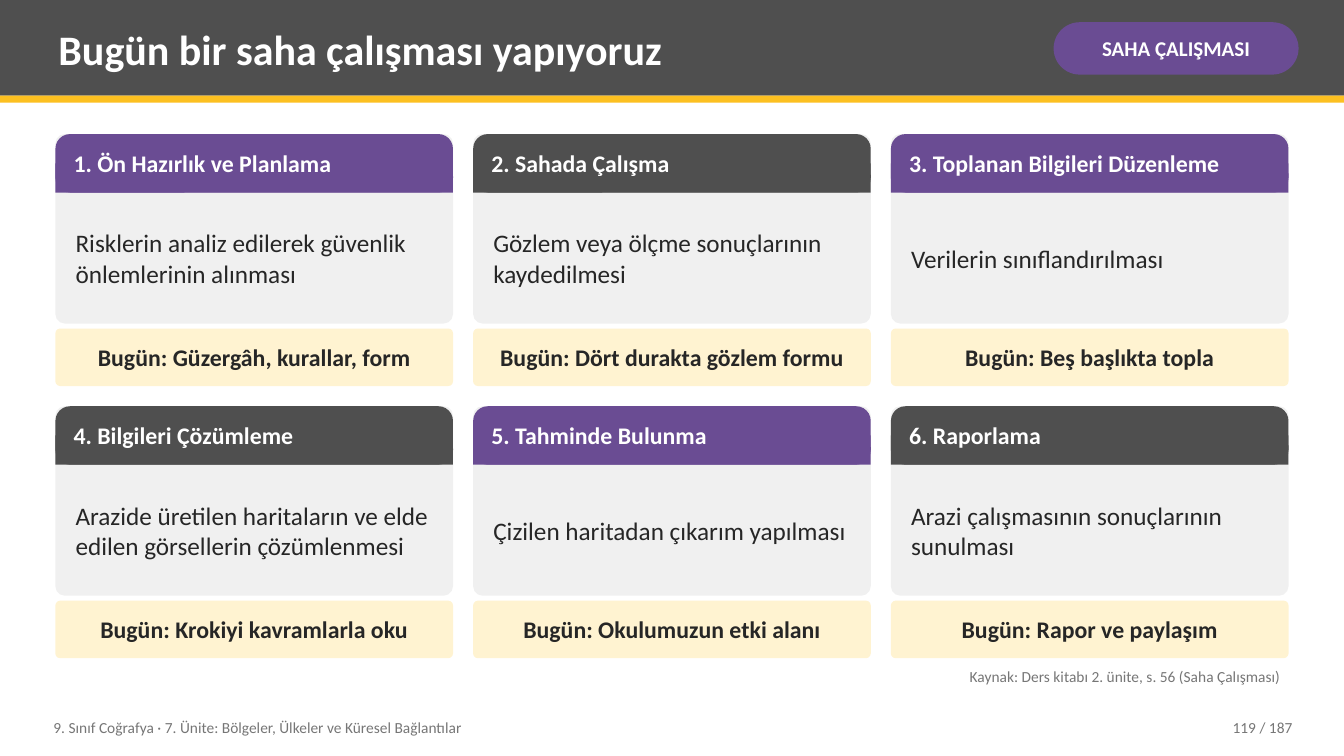
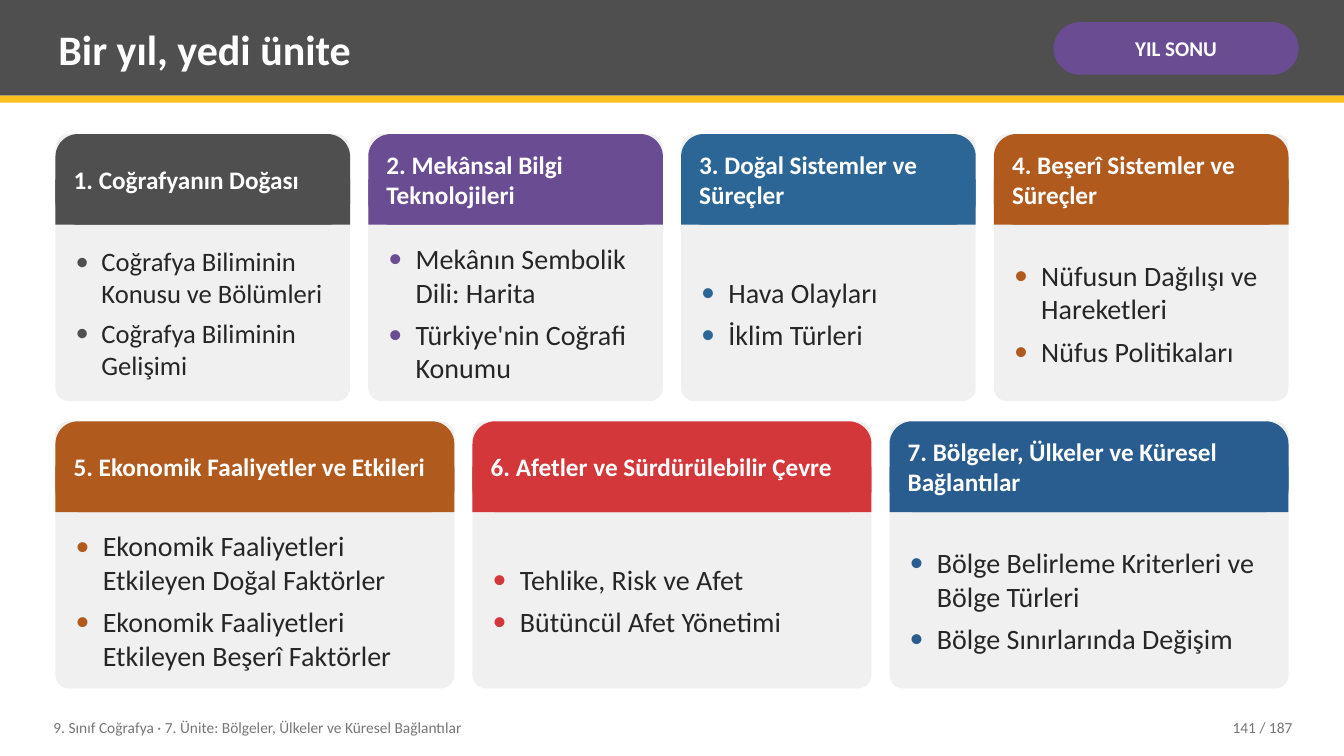
from lxml import etree
from pptx import Presentation
from pptx.dml.color import RGBColor
from pptx.enum import shapes, text
from pptx.oxml import ns
from pptx.util import Inches, Pt

FONT = "Calibri"
GREY, PURPLE, YELLOW, WHITE = "4F4F4F", "6A4C93", "FCC021", "FFFFFF"
BLUE, NAVY, BROWN, RED = "2C6696", "2A5D8F", "B05A1E", "D3373A"
INK, MUTED, CARD, CREAM = "262626", "767676", "F0F0F0", "FFF3D1"
LEFT, TOP, CONTENT_WIDTH = 0.55, 1.33, 12.23
START, CENTER, END = text.PP_ALIGN.LEFT, text.PP_ALIGN.CENTER, text.PP_ALIGN.RIGHT
MIDDLE, UPPER = text.MSO_ANCHOR.MIDDLE, text.MSO_ANCHOR.TOP


def add_box(slide, at, words="", fill=None, radius=None, size=18, color=INK, bold=False,
            align=START, anchor=MIDDLE, inset=(0.08, 0.04), bullet=None):
    """Add a filled shape or a plain text box; radius rounds it, bullet colours a list."""
    left, top, width, height = [Inches(length) for length in at]
    if fill is None:
        shape = slide.shapes.add_textbox(left, top, width, height)
    else:
        kind = shapes.MSO_SHAPE.RECTANGLE if radius is None else shapes.MSO_SHAPE.ROUNDED_RECTANGLE
        shape = slide.shapes.add_shape(kind, left, top, width, height)
        shape.shadow.inherit = False
        shape.fill.solid()
        shape.fill.fore_color.rgb = RGBColor.from_string(fill)
        shape.line.fill.background()
        if radius is not None:
            shape.adjustments[0] = radius
    if not words:
        return
    frame = shape.text_frame
    frame.text = words
    frame.word_wrap = True
    frame.vertical_anchor = anchor
    frame.margin_left = frame.margin_right = Inches(inset[0])
    frame.margin_top = frame.margin_bottom = Inches(inset[1])
    for paragraph in frame.paragraphs:
        paragraph.alignment = align
        if bullet:
            properties = paragraph._p.get_or_add_pPr()
            indent = Inches(0.0135 * size)
            properties.set("marL", str(indent))
            properties.set("indent", str(-indent))
            bullet_color = etree.SubElement(properties, ns.qn("a:buClr"))
            etree.SubElement(bullet_color, ns.qn("a:srgbClr"), val=bullet)
            etree.SubElement(properties, ns.qn("a:buFont"), typeface=FONT)
            etree.SubElement(properties, ns.qn("a:buChar"), char="•")
            if paragraph._p is not frame.paragraphs[-1]._p:
                paragraph.space_after = Pt(0.3 * size)
        for run in paragraph.runs:
            run.font.name = FONT
            run.font.size = Pt(size)
            run.font.bold = bold
            run.font.color.rgb = RGBColor.from_string(color)


def add_card(slide, at, head_height, color, heading, heading_size, body, body_size, bullet=None):
    """Add a grey card with a coloured head that is rounded only at the top."""
    left, top, width, height = at
    add_box(slide, at, fill=CARD, radius=0.05)
    add_box(slide, (left, top, width, head_height), fill=color, radius=0.25)
    add_box(slide, (left, top + head_height / 2, width, head_height / 2), fill=color)
    add_box(slide, (left + 0.1, top, width - 0.2, head_height), heading,
            size=heading_size, color=WHITE, bold=True)
    add_box(slide, (left + 0.12, top + head_height + 0.08, width - 0.24, height - head_height - 0.16),
            body, size=body_size, bullet=bullet)


presentation = Presentation()
presentation.slide_width = Inches(13.33)
presentation.slide_height = Inches(7.5)

# Shared frame: title band, tag and footer
slides = []
for title, tag, number in [
    ("Bugün bir saha çalışması yapıyoruz", "SAHA ÇALIŞMASI", 119),
    ("Bir yıl, yedi ünite", "YIL SONU", 141),
]:
    slide = presentation.slides.add_slide(presentation.slide_layouts[6])
    add_box(slide, (0, 0, 13.33, 0.95), fill=GREY)
    add_box(slide, (0, 0.95, 13.33, 0.07), fill=YELLOW)
    add_box(slide, (0.5, 0.07, 9.75, 0.82), title, size=30, color=WHITE, bold=True)
    add_box(slide, (10.45, 0.22, 2.43, 0.52), tag, fill=PURPLE, radius=0.5, size=15,
            color=WHITE, bold=True, align=CENTER, inset=(0.05, 0.02))
    add_box(slide, (0.45, 7.04, 7.6, 0.36),
            "9. Sınıf Coğrafya · 7. Ünite: Bölgeler, Ülkeler ve Küresel Bağlantılar",
            size=11, color=MUTED)
    add_box(slide, (11.3, 7.04, 1.6, 0.36), f"{number} / 187", size=11, color=MUTED, align=END)
    slides.append(slide)
steps_slide, units_slide = slides

# Slide 1: six steps of field work, each with today's task
steps = [
    ("Ön Hazırlık ve Planlama", "Risklerin analiz edilerek güvenlik önlemlerinin alınması",
     "Güzergâh, kurallar, form"),
    ("Sahada Çalışma", "Gözlem veya ölçme sonuçlarının kaydedilmesi",
     "Dört durakta gözlem formu"),
    ("Toplanan Bilgileri Düzenleme", "Verilerin sınıflandırılması", "Beş başlıkta topla"),
    ("Bilgileri Çözümleme", "Arazide üretilen haritaların ve elde edilen görsellerin çözümlenmesi",
     "Krokiyi kavramlarla oku"),
    ("Tahminde Bulunma", "Çizilen haritadan çıkarım yapılması", "Okulumuzun etki alanı"),
    ("Raporlama", "Arazi çalışmasının sonuçlarının sunulması", "Rapor ve paylaşım"),
]
gap = 0.2
width = (CONTENT_WIDTH - 2 * gap) / 3
for index, (heading, body, task) in enumerate(steps):
    row, column = divmod(index, 3)
    left, top = LEFT + column * (width + gap), TOP + row * 2.7
    add_card(steps_slide, (left, top, width, 1.88), 0.58, (PURPLE, GREY)[index % 2],
             f"{index + 1}. {heading}", 17, body, 18)
    add_box(steps_slide, (left, top + 1.93, width, 0.57), f"Bugün: {task}", fill=CREAM, radius=0.08,
            size=17, bold=True, align=CENTER, inset=(0.08, 0.08))
add_box(steps_slide, (LEFT, 6.58, CONTENT_WIDTH, 0.3),
        "Kaynak: Ders kitabı 2. ünite, s. 56 (Saha Çalışması)",
        size=11, color=MUTED, align=END, anchor=UPPER)

# Slide 2: seven units, four above three
unit_rows = [
    [
        ("1. Coğrafyanın Doğası", GREY, 19,
         "Coğrafya Biliminin Konusu ve Bölümleri\nCoğrafya Biliminin Gelişimi"),
        ("2. Mekânsal Bilgi Teknolojileri", PURPLE, 20,
         "Mekânın Sembolik Dili: Harita\nTürkiye'nin Coğrafi Konumu"),
        ("3. Doğal Sistemler ve Süreçler", BLUE, 20, "Hava Olayları\nİklim Türleri"),
        ("4. Beşerî Sistemler ve Süreçler", BROWN, 20,
         "Nüfusun Dağılışı ve Hareketleri\nNüfus Politikaları"),
    ],
    [
        ("5. Ekonomik Faaliyetler ve Etkileri", BROWN, 20,
         "Ekonomik Faaliyetleri Etkileyen Doğal Faktörler\n"
         "Ekonomik Faaliyetleri Etkileyen Beşerî Faktörler"),
        ("6. Afetler ve Sürdürülebilir Çevre", RED, 20,
         "Tehlike, Risk ve Afet\nBütüncül Afet Yönetimi"),
        ("7. Bölgeler, Ülkeler ve Küresel Bağlantılar", NAVY, 20,
         "Bölge Belirleme Kriterleri ve Bölge Türleri\nBölge Sınırlarında Değişim"),
    ],
]
gap = 0.18
for row, units in enumerate(unit_rows):
    width = (CONTENT_WIDTH - gap * (len(units) - 1)) / len(units)
    for column, (heading, color, size, topics) in enumerate(units):
        at = (LEFT + column * (width + gap), TOP + row * 2.85, width, 2.65)
        add_card(units_slide, at, 0.9, color, heading, 18, topics, size, bullet=color)

presentation.save("out.pptx")
